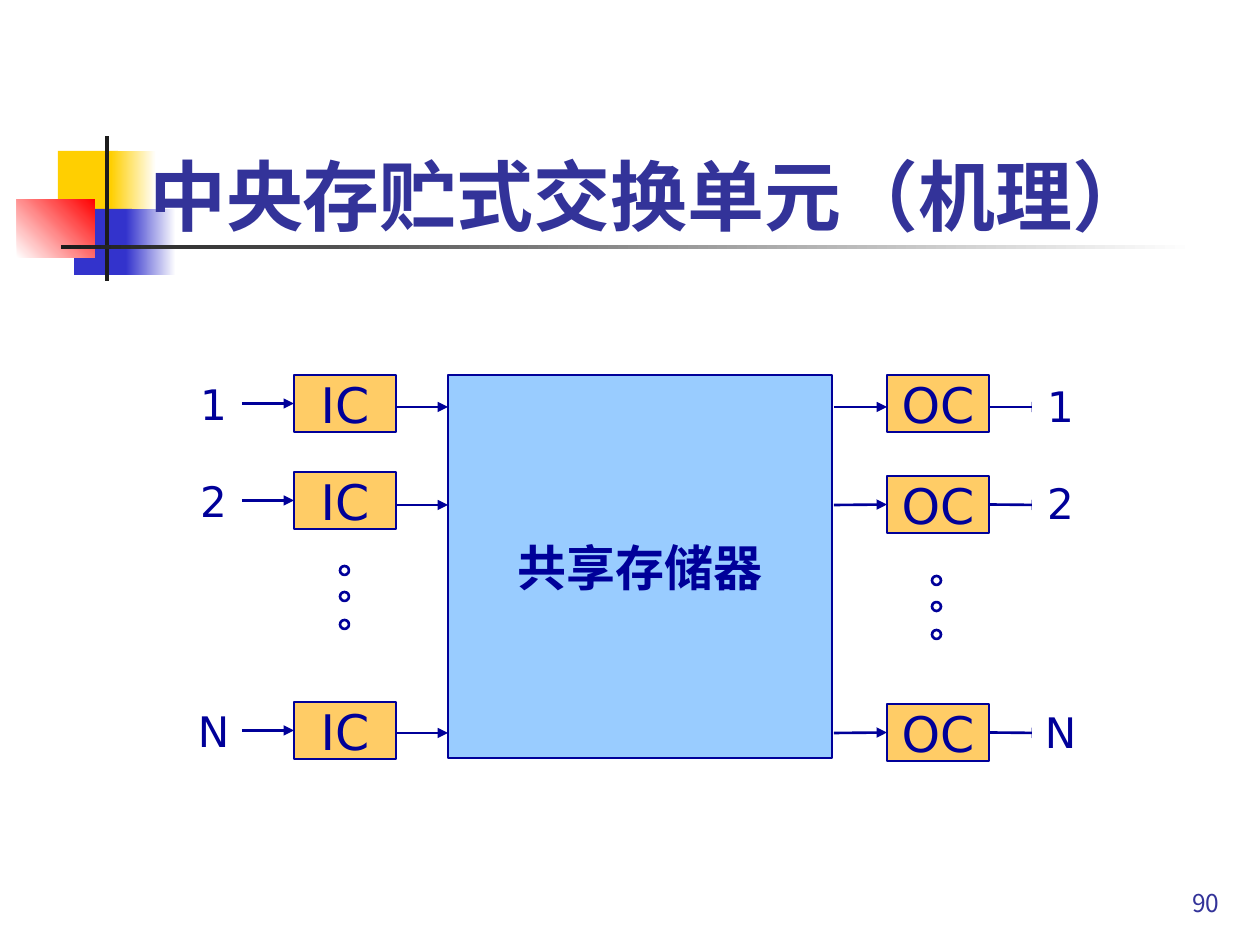
from lxml.etree import SubElement
from pptx import Presentation
from pptx.dml.color import RGBColor
from pptx.enum.shapes import MSO_CONNECTOR, MSO_SHAPE
from pptx.enum.text import MSO_ANCHOR, MSO_AUTO_SIZE, PP_ALIGN
from pptx.oxml.ns import qn
from pptx.util import Pt

PX = 914400 / 126
LATIN_FONT, CJK_FONT = "DejaVu Sans", "Noto Sans CJK JP"
WHITE = RGBColor(0xFF, 0xFF, 0xFF)
YELLOW = RGBColor(0xFF, 0xCF, 0x01)
BLUE = RGBColor(0x33, 0x33, 0xCC)
RED = RGBColor(0xFF, 0x00, 0x00)
BLACK = RGBColor(0x1C, 0x1C, 0x1C)
INDIGO = RGBColor(0x33, 0x33, 0x99)
NAVY = RGBColor(0x00, 0x00, 0x99)
ORANGE = RGBColor(0xFF, 0xCC, 0x66)
SKY = RGBColor(0x99, 0xCC, 0xFF)

LABELS = ("1", "2", "N")
INPUT_TOPS = (375, 472, 702)
OUTPUT_TOPS = (375, 476, 704)
OUTPUT_LABEL_TOPS = (377, 474, 703)
MEMORY_ARROW_YS = (407, 505, 733)
CARD_WIDTH, CARD_HEIGHT = 102, 57


def px(*lengths):
    """Turn pixel lengths into EMU."""
    return [round(length * PX) for length in lengths]


def write(shape, text, size, color, font=LATIN_FONT, bold=False,
          align=PP_ALIGN.CENTER, anchor=MSO_ANCHOR.MIDDLE, wrap=False):
    """Put one formatted paragraph into a shape."""
    frame = shape.text_frame
    frame.text = text
    frame.word_wrap = wrap
    frame.auto_size = MSO_AUTO_SIZE.NONE
    frame.vertical_anchor = anchor
    paragraph = frame.paragraphs[0]
    paragraph.alignment = align
    paragraph.font.size = Pt(size)
    paragraph.font.bold = bold
    paragraph.font.color.rgb = color
    paragraph.font.name = font
    properties = paragraph._p.pPr.find(qn("a:defRPr"))
    SubElement(properties, qn("a:ea"), typeface=CJK_FONT)


def add_box(slide, box, fill, outline=None, kind=MSO_SHAPE.RECTANGLE):
    """Add a filled preset shape with an optional outline."""
    shape = slide.shapes.add_shape(kind, *px(*box))
    shape.shadow.inherit = False
    shape.fill.solid()
    shape.fill.fore_color.rgb = fill
    if outline is None:
        shape.line.fill.background()
    else:
        shape.line.color.rgb = outline
        shape.line.width = Pt(1.5)
    return shape


def add_fade(slide, box, start, end, angle=0):
    """Add a rectangle that fades from one colour to another."""
    fill = add_box(slide, box, WHITE).fill
    fill.gradient()
    fill.gradient_angle = angle
    for stop, color in zip(fill.gradient_stops, (start, end)):
        stop.color.rgb = color


def add_card(slide, text, left, top):
    """Add an input or output controller box."""
    card = add_box(slide, (left, top, CARD_WIDTH, CARD_HEIGHT), ORANGE, NAVY)
    write(card, text, 28, NAVY)
    return card


def add_label(slide, text, left, top):
    """Add a port label."""
    label = add_box(slide, (left, top, 57, 57), WHITE)
    write(label, text, 24, NAVY)
    return label


def add_arrow(slide, left, right, y, source=None, target=None):
    """Add a horizontal arrow, joined to shapes whose side middles it meets."""
    arrow = slide.shapes.add_connector(MSO_CONNECTOR.STRAIGHT, *px(left, y, right, y))
    if source is not None:
        arrow.begin_connect(source, 3)
    if target is not None:
        arrow.end_connect(target, 1)
    arrow.line.color.rgb = NAVY
    arrow.line.width = Pt(1.5)
    SubElement(arrow.line._get_or_add_ln(), qn("a:tailEnd"), type="triangle")
    SubElement(arrow._element.spPr, qn("a:effectLst"))


def add_dots(slide, left, top):
    """Add three circles that stand for the omitted rows."""
    for offset in (0, 26, 54):
        add_box(slide, (left, top + offset, 9, 9), WHITE, NAVY, MSO_SHAPE.OVAL)


def add_decoration(slide):
    """Add the coloured squares and rules beside the title."""
    add_box(slide, (58, 151, 60, 66), YELLOW)
    add_fade(slide, (111, 151, 45, 66), YELLOW, WHITE)
    add_box(slide, (74, 209, 58, 66), BLUE)
    add_fade(slide, (126, 209, 50, 66), BLUE, WHITE)
    add_fade(slide, (17, 199, 78, 59), WHITE, RED, 45)
    add_box(slide, (105, 136, 4, 145), BLACK)
    add_fade(slide, (61, 245, 1134, 4), BLACK, WHITE)


def add_inputs(slide):
    """Add the input ports, their controllers and the arrows to memory."""
    for text, top, y in zip(LABELS, INPUT_TOPS, MEMORY_ARROW_YS):
        label = add_label(slide, text, 185, top)
        card = add_card(slide, "IC", 294, top)
        add_arrow(slide, 242, 294, top + CARD_HEIGHT / 2, label, card)
        add_arrow(slide, 396, 448, y)
    add_dots(slide, 340, 566)


def add_outputs(slide):
    """Add the output controllers, their arrows and the output ports."""
    rows = zip(LABELS, OUTPUT_TOPS, OUTPUT_LABEL_TOPS, MEMORY_ARROW_YS)
    for text, top, label_top, y in rows:
        card = add_card(slide, "OC", 887, top)
        joined = card if abs(top + CARD_HEIGHT / 2 - y) <= 1 else None
        add_arrow(slide, 834, 887, y, target=joined)
        add_arrow(slide, 989, 1042, y, source=joined)
        add_label(slide, text, 1032, label_top)
    add_dots(slide, 932, 576)


def add_memory(slide):
    """Add the shared memory block."""
    memory = add_box(slide, (448, 375, 384, 383), SKY, NAVY)
    write(memory, "共享存储器", 28, NAVY, bold=True)
    frame = memory.text_frame
    frame.margin_left = frame.margin_right = 0
    frame.margin_top = frame.margin_bottom = 0


def add_title(slide):
    """Place the title in front of the decoration."""
    title = slide.shapes.title
    title.left, title.top, title.width, title.height = px(113, 45, 1074, 202)
    write(title, "中央存贮式交换单元（机理）", 44, INDIGO, CJK_FONT, True,
          anchor=MSO_ANCHOR.BOTTOM, wrap=True)
    slide.shapes._spTree.append(title._element)


def add_page_number(slide):
    """Add the page number at the lower right."""
    number = slide.shapes.add_textbox(*px(970, 861, 262, 63))
    write(number, "90", 14, INDIGO, CJK_FONT, align=PP_ALIGN.RIGHT,
          anchor=MSO_ANCHOR.BOTTOM, wrap=True)


def main():
    """Build the slide and save it."""
    presentation = Presentation()
    presentation.slide_width, presentation.slide_height = px(1260, 945)
    slide = presentation.slides.add_slide(presentation.slide_layouts[5])
    add_decoration(slide)
    add_page_number(slide)
    add_memory(slide)
    add_inputs(slide)
    add_outputs(slide)
    add_title(slide)
    presentation.save("out.pptx")


if __name__ == "__main__":
    main()
